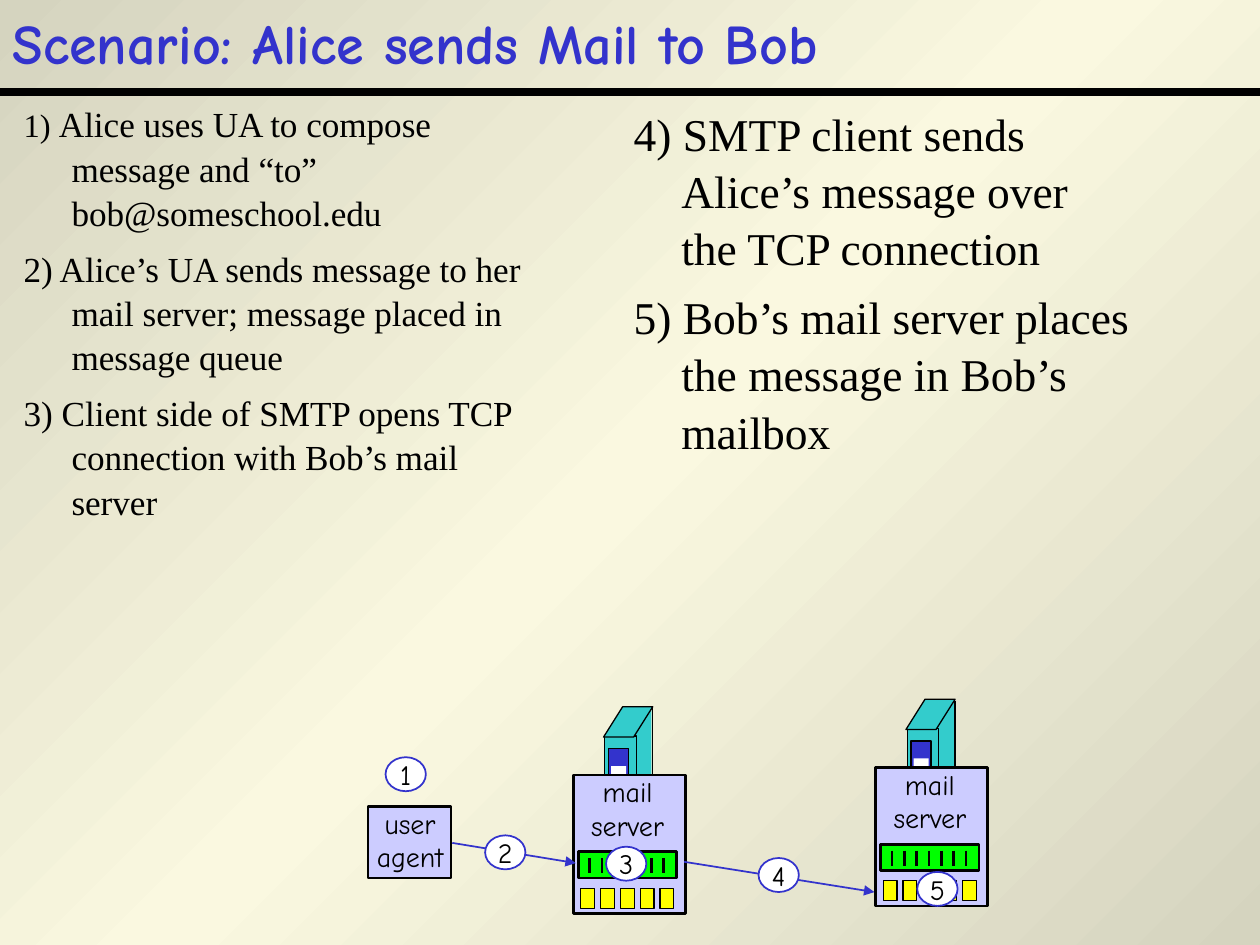
import copy

import pptx
import pptx.dml.color
import pptx.enum.shapes
import pptx.enum.text
import pptx.oxml
import pptx.oxml.ns
import pptx.util

Inches = pptx.util.Inches
Pt = pptx.util.Pt
Shape = pptx.enum.shapes.MSO_SHAPE
Align = pptx.enum.text.PP_ALIGN
Anchor = pptx.enum.text.MSO_ANCHOR

SERIF, COMIC = "Times New Roman", "Comic Neue"
BLACK, WHITE, BLUE = "000000", "FFFFFF", "3333CC"
TEAL, LAVENDER, GREEN, YELLOW = "33CCCC", "CCCCFF", "00FF00", "FFFF00"


def color(value):
    """Turn a hex string into a colour."""
    return pptx.dml.color.RGBColor.from_string(value)


def set_font(font, name, size, value=BLACK, bold=False):
    """Set typeface, size, colour and weight."""
    font.name, font.size, font.bold = name, Pt(size), bold
    font.color.rgb = color(value)


def set_background(slide):
    """Fill the slide with a diagonal band of light."""
    fill = slide.background.fill
    fill.gradient()
    fill.gradient_angle = 315
    stop_list = slide.element.find(".//" + pptx.oxml.ns.qn("a:gsLst"))
    stop_list.insert(1, copy.deepcopy(stop_list[0]))
    stops = zip(fill.gradient_stops, (0, 0.5, 1), ("D5D4BF", "FAF8E0", "D5D4BF"))
    for stop, position, value in stops:
        stop.position = position
        stop.color.rgb = color(value)


def add_title(slide, text):
    """Place and format the title placeholder."""
    title = slide.shapes.title
    title.left, title.top = Inches(0), Inches(0)
    title.width, title.height = Inches(8.5), Inches(0.67)
    frame = title.text_frame
    frame.text = text
    frame.auto_size = pptx.enum.text.MSO_AUTO_SIZE.NONE
    frame.vertical_anchor = Anchor.MIDDLE
    paragraph = frame.paragraphs[0]
    paragraph.alignment = Align.LEFT
    set_font(paragraph.font, COMIC, 32, BLUE, True)


def add_line(shapes, start, end, value=BLACK, width=0.75, arrow=False):
    """Draw a straight line, with an arrowhead at its end if asked."""
    points = [Inches(length) for length in (*start, *end)]
    line = shapes.add_connector(pptx.enum.shapes.MSO_CONNECTOR.STRAIGHT, *points)
    line.line.color.rgb = color(value)
    line.line.width = Pt(width)
    if arrow:
        head = pptx.oxml.parse_xml(
            f'<a:tailEnd {pptx.oxml.ns.nsdecls("a")} type="triangle"/>')
        line.line._get_or_add_ln().append(head)
    line._element.spPr.append(
        pptx.oxml.parse_xml(f'<a:effectLst {pptx.oxml.ns.nsdecls("a")}/>'))


def add_block(shapes, kind, box, fill, width=0.75, line=BLACK):
    """Draw a filled preset shape; a width of zero means no outline."""
    shape = shapes.add_shape(kind, *[Inches(length) for length in box])
    shape.shadow.inherit = False
    shape.fill.solid()
    shape.fill.fore_color.rgb = color(fill)
    if width:
        shape.line.color.rgb = color(line)
        shape.line.width = Pt(width)
    else:
        shape.line.fill.background()
    return shape


def add_label(shapes, box, text):
    """Add centred lines of diagram text."""
    label = shapes.add_textbox(*[Inches(length) for length in box])
    frame = label.text_frame
    frame.word_wrap = False
    frame.text = text
    for paragraph in frame.paragraphs:
        paragraph.alignment = Align.CENTER
        set_font(paragraph.font, COMIC, 16)


def add_steps(slide, box, steps, size, number_size):
    """Add hanging steps; the first number has its own size."""
    frame = slide.shapes.add_textbox(*[Inches(length) for length in box]).text_frame
    frame.word_wrap = True
    for index, (number, text) in enumerate(steps):
        paragraph = frame.paragraphs[0] if index == 0 else frame.add_paragraph()
        properties = paragraph._p.get_or_add_pPr()
        properties.set("marL", str(Inches(0.38)))
        properties.set("indent", str(-Inches(0.38)))
        paragraph.line_spacing = 1.05
        if index:
            paragraph.space_before = Pt(6.5)
        set_font(paragraph.font, SERIF, size)
        number_run = paragraph.add_run()
        number_run.text = number + " "
        if index == 0:
            number_run.font.size = Pt(number_size)
        paragraph.add_run().text = text


def add_user_agent(slide):
    """Draw the user agent box."""
    shapes = slide.shapes.add_group_shape().shapes
    add_block(shapes, Shape.RECTANGLE, (2.92, 6.4, 0.66, 0.57), LAVENDER, 1.5)
    add_label(shapes, (2.89, 6.35, 0.73, 0.64), "user\nagent")


def add_mail_server(slide, left, top):
    """Draw a mail server with its computer, queue and mailboxes."""
    shapes = slide.shapes.add_group_shape().shapes

    def block(x, y, width, height, fill, line_width=0.75, kind=Shape.RECTANGLE):
        """Draw a part placed from the corner of the server."""
        box = (left + x, top + y, width, height)
        return add_block(shapes, kind, box, fill, line_width)

    block(0.44, 0, 0.18, 0.78, TEAL, 0)
    block(0.25, 0.23, 0.25, 0.78, TEAL)
    roof = block(0.24, 0, 0.39, 0.24, TEAL, kind=Shape.PARALLELOGRAM)
    roof.adjustments[0] = 0.63
    add_line(shapes, (left + 0.63, top + 0.01), (left + 0.63, top + 0.78))
    block(0.28, 0.33, 0.16, 0.45, BLUE)
    block(0.3, 0.47, 0.12, 0.16, WHITE, 0)
    block(0, 0.54, 0.89, 1.1, LAVENDER, 1.5)
    add_label(shapes, (left + 0.04, top + 0.49, 0.78, 0.64), "mail\nserver")
    block(0.04, 1.15, 0.78, 0.21, GREEN, 1.5)
    for index in range(7):
        x = left + 0.13 + 0.098 * index
        add_line(shapes, (x, top + 1.2), (x, top + 1.32), width=1.5)
    for index in range(5):
        block(0.06 + 0.157 * index, 1.44, 0.11, 0.16, YELLOW)


def add_step_marker(slide, number, left, top):
    """Draw a numbered oval."""
    box = (left, top, 0.32, 0.27)
    oval = add_block(slide.shapes, Shape.OVAL, box, WHITE, 1, BLUE)
    frame = oval.text_frame
    frame.word_wrap = False
    frame.vertical_anchor = Anchor.MIDDLE
    frame.text = str(number)
    paragraph = frame.paragraphs[0]
    paragraph.alignment = Align.CENTER
    set_font(paragraph.font, COMIC, 16)


def main():
    """Build and save the slide."""
    presentation = pptx.Presentation()
    presentation.slide_width, presentation.slide_height = Inches(10), Inches(7.5)
    slide = presentation.slides.add_slide(presentation.slide_layouts[5])
    set_background(slide)
    add_title(slide, "Scenario: Alice sends Mail to Bob")
    for y in (0.72, 0.74):
        add_line(slide.shapes, (0, y), (10, y), width=3)
    add_steps(slide, (0.09, 0.75, 4.17, 3.52), [
        ("1)", "Alice uses UA to compose message and “to” bob@someschool.edu"),
        ("2)", "Alice’s UA sends message to her mail server; "
               "message placed in message queue"),
        ("3)", "Client side of SMTP opens TCP connection with Bob’s mail server"),
    ], 20.1, 18.6)
    add_steps(slide, (4.93, 0.77, 4.17, 3.57), [
        ("4)", "SMTP client sends Alice’s message over the TCP connection"),
        ("5)", "Bob’s mail server places the message in Bob’s mailbox"),
    ], 26, 26)
    add_user_agent(slide)
    for left, top in ((4.55, 5.61), (6.95, 5.55)):
        add_mail_server(slide, left, top)
    add_line(slide.shapes, (3.59, 6.69), (4.57, 6.85), BLUE, 1, arrow=True)
    add_line(slide.shapes, (5.43, 6.84), (6.94, 7.08), BLUE, 1, arrow=True)
    markers = [(3.06, 6.01), (3.85, 6.63), (4.81, 6.72), (6.02, 6.81), (7.28, 6.92)]
    for number, (left, top) in enumerate(markers, 1):
        add_step_marker(slide, number, left, top)
    presentation.save("out.pptx")


if __name__ == "__main__":
    main()
